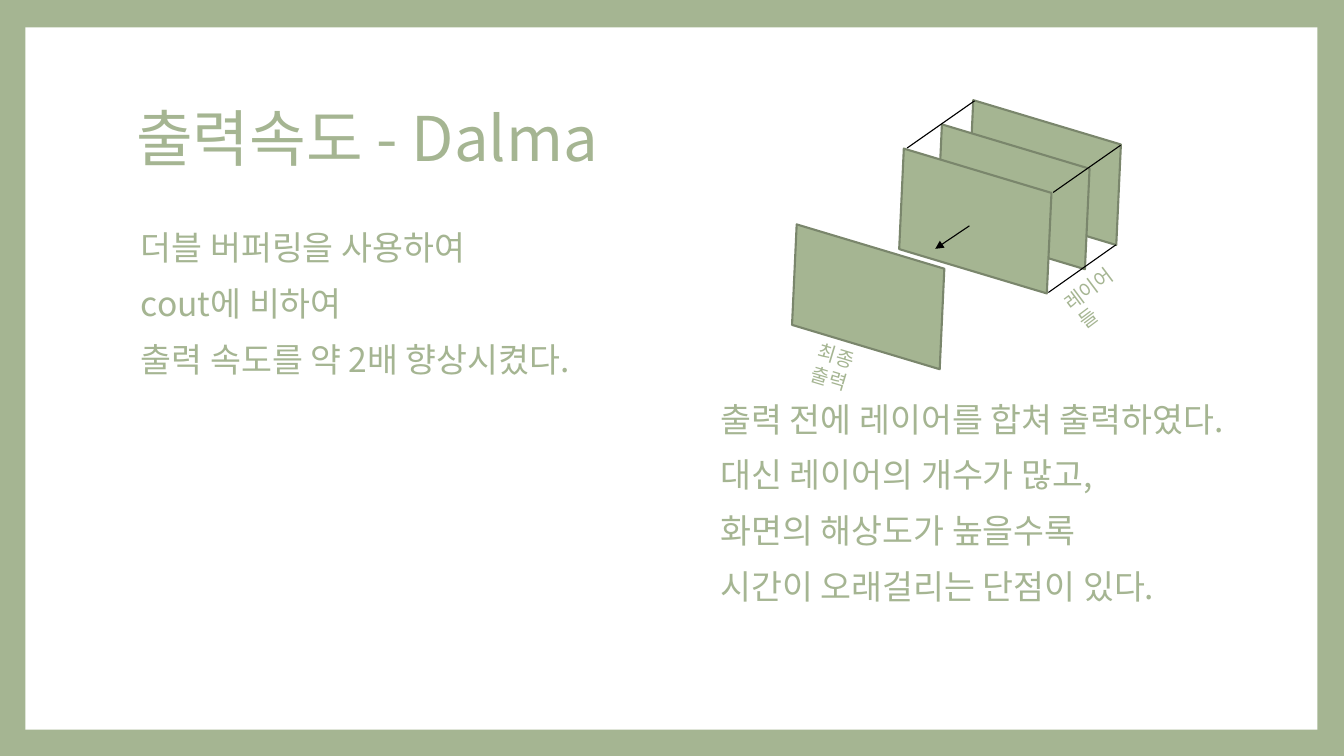
import pptx
import pptx.dml.color
import pptx.enum.shapes
import pptx.enum.text
import pptx.oxml
import pptx.oxml.ns
import pptx.util

Cm = pptx.util.Cm
Pt = pptx.util.Pt
SAGE = pptx.dml.color.RGBColor(0xA5, 0xB5, 0x92)
DARK_SAGE = pptx.dml.color.RGBColor(0x7A, 0x86, 0x6C)
WHITE = pptx.dml.color.RGBColor(0xFF, 0xFF, 0xFF)
BLACK = pptx.dml.color.RGBColor(0, 0, 0)
FONT = "Noto Sans CJK KR"
ANCHOR = pptx.enum.text.MSO_ANCHOR
SHAPE = pptx.enum.shapes.MSO_SHAPE

presentation = pptx.Presentation()
presentation.slide_width = Cm(33.87)
presentation.slide_height = Cm(19.05)
slide = presentation.slides.add_slide(presentation.slide_layouts[6])
slide.background.fill.solid()
slide.background.fill.fore_color.rgb = SAGE


def add_filled_shape(kind, left, top, width, height, color):
    shape = slide.shapes.add_shape(kind, Cm(left), Cm(top), Cm(width), Cm(height))
    shape.shadow.inherit = False
    shape.fill.solid()
    shape.fill.fore_color.rgb = color
    return shape


def add_text(lines, left, top, width, height, size, rotation=0, anchor=ANCHOR.TOP, paragraph_format=None):
    shape = slide.shapes.add_textbox(Cm(left), Cm(top), Cm(width), Cm(height))
    shape.rotation = rotation
    frame = shape.text_frame
    frame.word_wrap = True
    frame.vertical_anchor = anchor
    frame.text = "\n".join(lines)
    for paragraph in frame.paragraphs:
        for name, value in (paragraph_format or {}).items():
            setattr(paragraph, name, value)
        for run in paragraph.runs:
            for name, value in {"size": Pt(size), "name": FONT}.items():
                setattr(run.font, name, value)
            run.font.color.rgb = SAGE
            east_asian = pptx.oxml.parse_xml(
                f'<a:ea {pptx.oxml.ns.nsdecls("a")} typeface="{FONT}"/>')
            run.font._element.append(east_asian)


panel = add_filled_shape(SHAPE.RECTANGLE, 0.64, 0.69, 32.56, 17.7, WHITE)
panel.line.fill.background()

body_format = {"line_spacing": 0.9, "space_before": Pt(14)}
add_text(["출력속도 - Dalma"], 3.18, 1.7, 27.43, 3.76, 44,
         anchor=ANCHOR.MIDDLE, paragraph_format={"line_spacing": 0.9})
add_text(["더블 버퍼링을 사용하여", "cout에 비하여", "출력 속도를 약 2배 향상시켰다."],
         3.3, 5.72, 28.5, 11.23, 24, paragraph_format=body_format)

for left, top in [(24.08, 3.12), (23.29, 3.73), (22.33, 4.34), (19.63, 6.25)]:
    layer = add_filled_shape(SHAPE.PARALLELOGRAM, left, top, 4.5, 2.46, SAGE)
    layer.rotation = 16.7
    layer.element.spPr.xfrm.set("flipV", "1")
    layer.line.color.rgb = DARK_SAGE
    layer.line.width = Pt(1.5)

add_text(["최종 출력"], 20.35, 8.66, 2.24, 0.86, 14, rotation=16.8)
add_text(["레이어들"], 26.47, 6.76, 2.16, 0.86, 14, rotation=323.2)

edges = [(24.56, 2.54, 22.86, 3.73), (28.24, 3.66, 26.54, 4.85), (28.12, 6.17, 26.42, 7.37)]
output_arrow = (24.43, 5.69, 23.57, 6.27)
for ends in edges + [output_arrow]:
    connector = slide.shapes.add_connector(
        pptx.enum.shapes.MSO_CONNECTOR.STRAIGHT, *[Cm(value) for value in ends])
    connector.line.color.rgb = BLACK
    connector.line.width = Pt(0.79)
    if ends == output_arrow:
        arrowhead = pptx.oxml.parse_xml(
            f'<a:tailEnd {pptx.oxml.ns.nsdecls("a")} type="triangle"/>')
        connector.line._get_or_add_ln().append(arrowhead)
    connector.element.spPr.append(
        pptx.oxml.parse_xml(f'<a:effectLst {pptx.oxml.ns.nsdecls("a")}/>'))

add_text(["출력 전에 레이어를 합쳐 출력하였다.", "대신 레이어의 개수가 많고,", "화면의 해상도가 높을수록",
          "시간이 오래걸리는 단점이 있다."],
         17.91, 10.03, 14.09, 6.02, 24, paragraph_format=body_format)

presentation.save("out.pptx")
